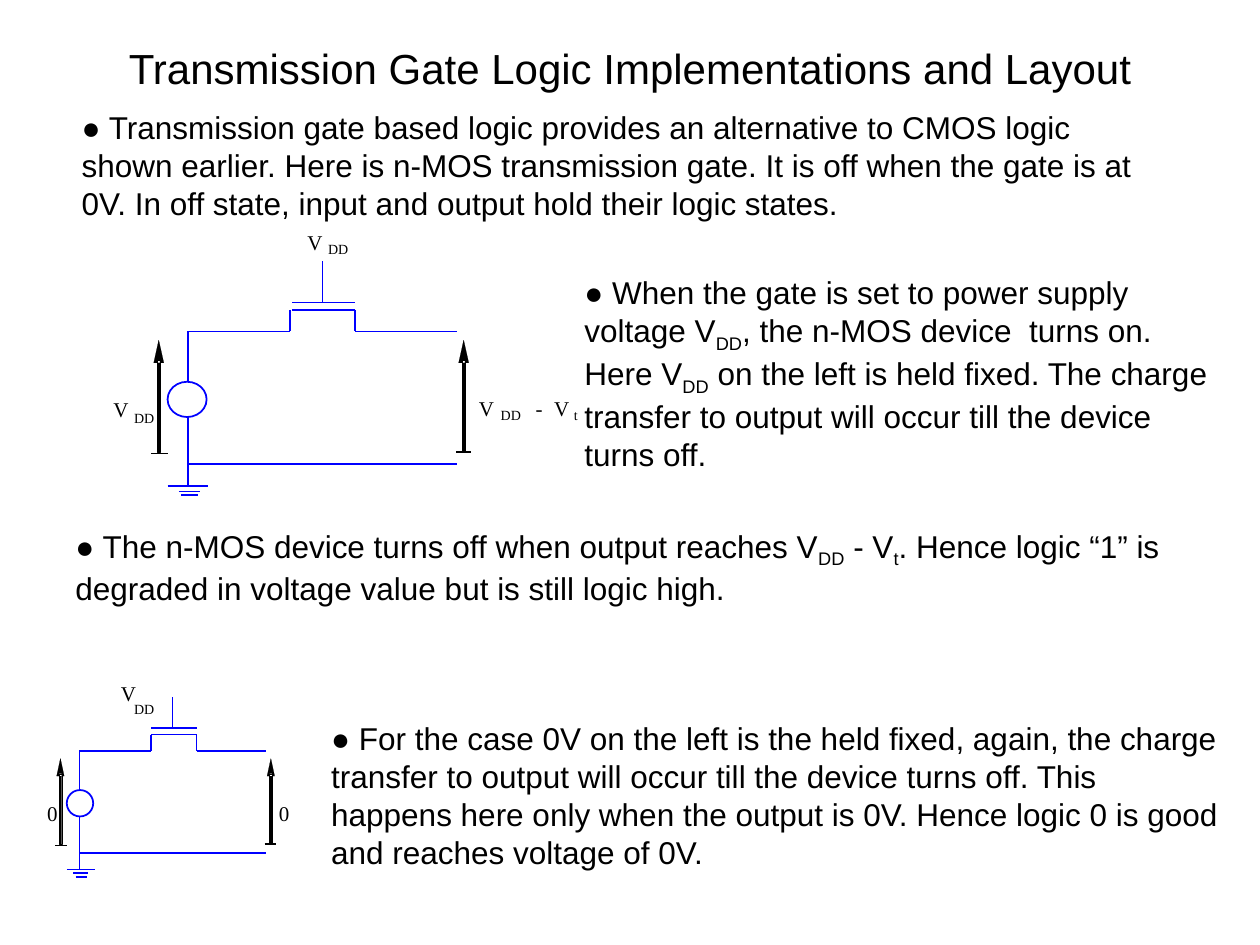
from lxml import etree
from pptx import Presentation
from pptx.dml.color import RGBColor
from pptx.enum.shapes import MSO_CONNECTOR, MSO_SHAPE
from pptx.enum.text import MSO_ANCHOR, MSO_AUTO_SIZE, PP_ALIGN
from pptx.oxml.ns import qn
from pptx.util import Pt

PX = 9144  # 100 px to the inch
LINE, OVAL = MSO_CONNECTOR.STRAIGHT, MSO_SHAPE.OVAL
TOP, CENTER, LEFT = MSO_ANCHOR.TOP, PP_ALIGN.CENTER, PP_ALIGN.LEFT
NO_FIT, GROW = MSO_AUTO_SIZE.NONE, MSO_AUTO_SIZE.SHAPE_TO_FIT_TEXT

THEME = {
    "ink": RGBColor(0, 0, 0),
    "wire": RGBColor(0, 0, 255),
    "paper": RGBColor(255, 255, 255),
    "title": {"name": "Arial", "size": Pt(24)},
    "body": {"name": "Arial", "size": Pt(18)},
    "label": {"name": "Times New Roman", "size": Pt(12)},
    "sub": {"name": "Times New Roman", "size": Pt(8)},
    "stroke": Pt(1),
    "hair": Pt(0.11),
}

TITLE = ("Transmission Gate Logic Implementations and Layout",)
TITLE_BOX = (36, 29, 928, 50)

# Box, then text parts: every second part is a subscript
NOTES = [
    ((55, 81, 872, 100),
     ("● Transmission gate based logic provides an alternative to CMOS logic "
      "shown earlier. Here is n-MOS transmission gate. It is off when the gate "
      "is at 0V. In off state, input and output hold their logic states.",)),
    ((454, 212, 528, 168),
     ("● When the gate is set to power supply voltage V", "DD",
      ", the n-MOS device  turns on. Here V", "DD",
      " on the left is held fixed. The charge transfer to output will occur "
      "till the device turns off.")),
    ((50, 413, 931, 74),
     ("● The n-MOS device turns off when output reaches V", "DD", " - V", "t",
      ". Hence logic “1” is degraded in voltage value but is still logic high.")),
    ((253, 566, 729, 130),
     ("● For the case 0V on the left is the held fixed, again, the charge "
      "transfer to output will occur till the device turns off. This happens "
      "here only when the output is 0V. Hence logic 0 is good and reaches "
      "voltage of 0V.",)),
]

# x: source, channel start, plate start, stem, channel end, output
# y: stem top, plate, channel, rail, return
# ground: (left, right, y); arrows: (middle, tip, end); feet: (left, right, y)
# labels: (text, style, left, top, width)
CIRCUITS = [
    {"x": (149, 230, 232, 256, 282, 363),
     "y": (207, 240, 246, 263, 368),
     "source": (133, 303, 31, 28),
     "ground": [(133, 165, 386), (142, 159, 390), (144, 157, 393)],
     "arrows": [(126, 270, 359), (368, 270, 359)],
     "head": (4, 18),
     "feet": [(120, 133, 360), (362, 374, 359)],
     "labels": [("V", "label", 244, 182, 12), ("DD", "sub", 260, 191, 17),
                ("V", "label", 90, 315, 12), ("DD", "sub", 106, 325, 17),
                ("V", "label", 380, 314, 12), ("DD", "sub", 397, 323, 17),
                ("-", "label", 425, 314, 6), (" V", "label", 436, 314, 16),
                ("t", "sub", 455, 323, 4)]},
    {"x": (63, 120, 120, 137, 156, 211),
     "y": (553, 578, 583, 596, 677),
     "source": (53, 627, 21, 21),
     "ground": [(53, 75, 690), (58, 70, 693), (60, 69, 696)],
     "arrows": [(48, 602, 670), (215, 602, 670)],
     "head": (3, 14),
     "feet": [(44, 53, 671), (210, 219, 670)],
     "labels": [("V", "label", 96, 540, 12), ("DD", "sub", 106, 556, 17),
                ("0", "label", 37, 635, 9), ("0", "label", 221, 635, 9)]},
]


def emu(*vals):
    return [v * PX for v in vals]


def put(obj, **vals):
    for key, val in vals.items():
        setattr(obj, key, val)


def write(shape, parts, style, **para):
    first = shape.text_frame.paragraphs[0]
    put(first, **para)
    for i, part in enumerate(parts):
        run = first.add_run()
        run.text = part
        put(run.font, **THEME[style])
        run.font.color.rgb = THEME["ink"]
        if i % 2:
            run._r.get_or_add_rPr().set("baseline", "-25000")


def wire(shapes, x1, y1, x2, y2, color="wire"):
    line = shapes.add_connector(LINE, *emu(x1, y1, x2, y2))
    line.line.color.rgb = THEME[color]
    line.line.width = THEME["stroke"]
    etree.SubElement(line._element.spPr, qn("a:effectLst"))


def arrow(shapes, mid, tip, end, half, neck):
    """Draw a thin shaft and a solid head as one outline."""
    top = tip + neck - 2
    pen = shapes.build_freeform(mid - 1, end, scale=PX)
    pen.add_line_segments([(mid - 1, top), (mid + 1, top), (mid + 1, end)])
    pen.move_to(mid - half, tip + neck)
    pen.add_line_segments([(mid, tip), (mid + half, tip + neck)])
    shape = pen.convert_to_shape()
    shape.shadow.inherit = False
    shape.fill.solid()
    shape.fill.fore_color.rgb = THEME["ink"]
    shape.line.color.rgb = THEME["ink"]
    shape.line.width = THEME["hair"]


def label(shapes, text, style, x, y, w):
    box = shapes.add_textbox(*emu(x, y, w, 20 if style == "label" else 13))
    put(box.text_frame, word_wrap=False, auto_size=GROW, margin_left=0,
        margin_right=0, margin_top=0, margin_bottom=0)
    write(box, (text,), style, alignment=CENTER)


def circuit(slide, data):
    shapes = slide.shapes.add_group_shape().shapes
    src, start, plate, stem, end, out = data["x"]
    top, gate, chan, rail, back = data["y"]
    left, high, wide, tall = data["source"]
    ground = data["ground"]
    for ends in [
        (plate, chan, end, chan), (plate, gate, end, gate),
        (start, chan, start, rail), (end, chan, end, rail),
        (src, rail, start, rail), (end, rail, out, rail),
        (src, rail, src, high), (src, high + tall, src, ground[0][2]),
        (src, back, out, back), (stem, gate, stem, top),
    ]:
        wire(shapes, *ends)
    for x1, x2, y in ground:
        wire(shapes, x1, y, x2, y)
    for x1, x2, y in data["feet"]:
        wire(shapes, x1, y, x2, y, "ink")
    ring = shapes.add_shape(OVAL, *emu(left, high, wide, tall))
    ring.shadow.inherit = False
    ring.fill.solid()
    ring.fill.fore_color.rgb = THEME["paper"]
    ring.line.color.rgb = THEME["wire"]
    ring.line.width = THEME["stroke"]
    for spot in data["arrows"]:
        arrow(shapes, *spot, *data["head"])
    for item in data["labels"]:
        label(shapes, *item)


def main():
    deck = Presentation()
    deck.slide_width, deck.slide_height = emu(1000, 750)
    slide = deck.slides.add_slide(deck.slide_layouts[5])
    title = slide.shapes.title
    put(title, **dict(zip(("left", "top", "width", "height"), emu(*TITLE_BOX))))
    put(title.text_frame, vertical_anchor=TOP, auto_size=NO_FIT)
    write(title, TITLE, "title", alignment=CENTER)
    for data in CIRCUITS:
        circuit(slide, data)
    for spot, parts in NOTES:
        box = slide.shapes.add_textbox(*emu(*spot))
        box.text_frame.word_wrap = True
        write(box, parts, "body", alignment=LEFT)
    deck.save("out.pptx")


if __name__ == "__main__":
    main()
